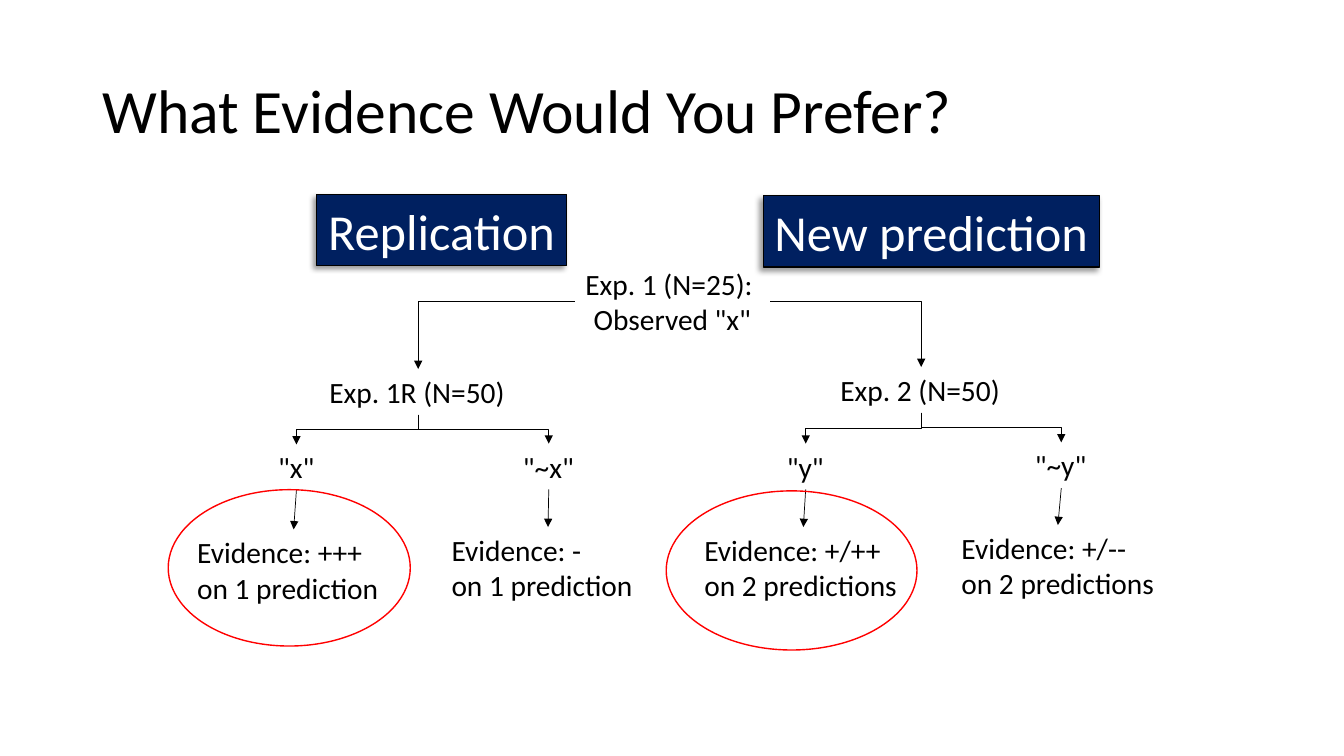
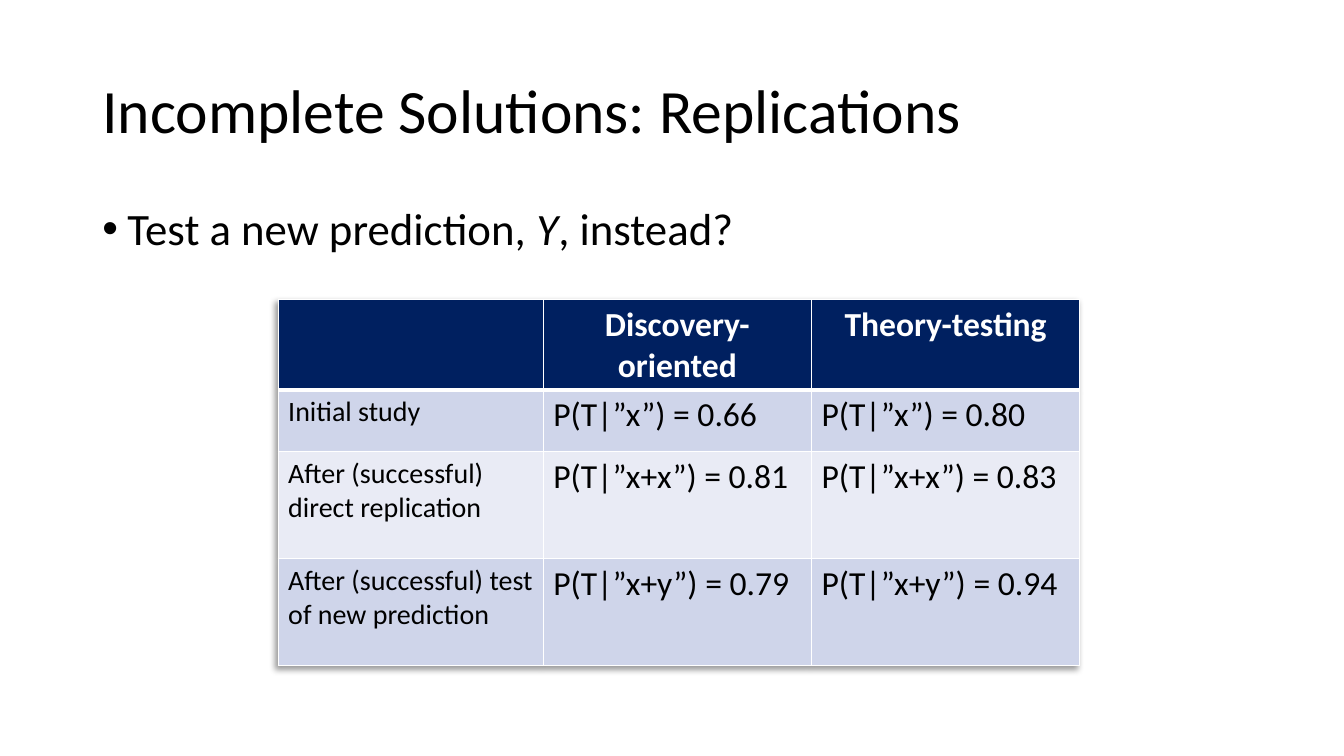
from lxml import etree
from pptx import Presentation
from pptx.dml.color import RGBColor
from pptx.enum.shapes import MSO_CONNECTOR, MSO_SHAPE
from pptx.enum.text import MSO_ANCHOR, PP_ALIGN
from pptx.oxml import parse_xml
from pptx.oxml.ns import qn
from pptx.util import Cm, Pt

RECT, OVAL = MSO_SHAPE.RECTANGLE, MSO_SHAPE.OVAL
LINE, ELBOW = MSO_CONNECTOR.STRAIGHT, MSO_CONNECTOR.ELBOW
CENTER, MIDDLE = PP_ALIGN.CENTER, MSO_ANCHOR.MIDDLE
BOTTOM, TOP = 2, 0

# Shared look
NAVY, BLACK, WHITE, RED = "002060", "000000", "FFFFFF", "FF0000"
BANDS = ("CFD5EA", "E9EBF5")
BASE = {"name": "Calibri", "bold": False, "italic": False}
TITLE = {"size": Pt(44)}
BODY = {"size": Pt(32)}
HEAD = {"size": Pt(36)}
NODE = {"size": Pt(21)}
CELL = {"size": Pt(24)}
SIDE = {"size": Pt(20)}
TIGHT = {"line_spacing": 0.9}

NS = 'xmlns:a="http://schemas.openxmlformats.org/drawingml/2006/main"'
SHADOW = (f'<a:effectLst {NS}><a:outerShdw blurRad="50800" dist="38100" '
          'dir="8100000" algn="tr" rotWithShape="0"><a:srgbClr val="000000">'
          '<a:alpha val="40000"/></a:srgbClr></a:outerShdw></a:effectLst>')

# Trees: experiment box, elbow start, and two outcomes
# An outcome is label (text, x, y, w) and evidence (lines, x, y, w)
TREES = [
    {"exp": ("Exp. 1R (N=50)", 8.05, 9.3, 4.98), "start": 14.48,
     "ends": [(('"x"', 6.76, 11.2, 1.42),
               ("Evidence: +++ on 1 prediction", 4.72, 13.34, 5.36)),
              (('"~x"', 12.93, 11.18, 1.8),
               ("Evidence: -\non 1 prediction", 11.13, 13.28, 5.36))]},
    {"exp": ("Exp. 2 (N=50)", 20.93, 9.25, 4.57), "start": 19.41,
     "ends": [(('"y"', 19.58, 11.18, 1.45),
               ("Evidence: +/++ on 2 predictions", 17.5, 13.28, 5.49)),
              (('"~y"', 25.83, 11.15, 1.83),
               ("Evidence: +/--\non 2 predictions", 23.98, 13.23, 5.36))]},
]
HEADS = [("Replication", 7.98, 4.9, 6.3, 1.8),
         ("New prediction", 19.23, 4.93, 8.48, 1.8)]
RINGS = [(4.24, 12.34, 6.1, 3.94), (16.79, 12.37, 6.32, 4.01)]

GRID = [
    ("", "Discovery-oriented", "Theory-testing"),
    ("Initial study", "P(T|”x”) = 0.66", "P(T|”x”) = 0.80"),
    ("After (successful) direct replication",
     "P(T|”x+x”) = 0.81", "P(T|”x+x”) = 0.83"),
    ("After (successful) test of new prediction",
     "P(T|”x+y”) = 0.79", "P(T|”x+y”) = 0.94"),
]
WIDTHS = (6.68, 6.76, 6.76)
HEIGHTS = (2.28, 1.55, 2.7, 2.7)


def rgb(code):
    return RGBColor.from_string(code)


def apply(target, values):
    for name, value in values.items():
        setattr(target, name, value)


def write(frame, lines, font, color=BLACK, para=None):
    """Fill a frame; each line is a list of (text, font changes)."""
    for i, runs in enumerate(lines):
        par = frame.add_paragraph() if i else frame.paragraphs[0]
        apply(par, para or {})
        for text, change in runs:
            run = par.add_run()
            run.text = text
            apply(run.font, {**BASE, **font, **change})
            run.font.color.rgb = rgb(color)


def plain(text):
    return [[(line, {})] for line in text.split("\n")]


def add_text(slide, lines, box, font, para=None, wrap=True):
    shape = slide.shapes.add_textbox(*map(Cm, box))
    shape.text_frame.word_wrap = wrap
    write(shape.text_frame, lines, font, para=para)
    return shape


def add_title(slide, text):
    box = add_text(slide, plain(text), (2.33, 1.02, 29.21, 3.68), TITLE, TIGHT)
    box.text_frame.vertical_anchor = MIDDLE


def add_form(slide, kind, box, line, width, fill=None):
    shape = slide.shapes.add_shape(kind, *map(Cm, box))
    shape.shadow.inherit = False
    if fill:
        shape.fill.solid()
        shape.fill.fore_color.rgb = rgb(fill)
    else:
        shape.fill.background()
    shape.line.color.rgb = rgb(line)
    shape.line.width = Pt(width)
    return shape


def add_head(slide, text, *box):
    shape = add_form(slide, RECT, box, BLACK, 0.75, NAVY)
    props = shape._element.spPr
    props.remove(props.find(qn("a:effectLst")))
    props.append(parse_xml(SHADOW))
    shape.text_frame.word_wrap = False
    write(shape.text_frame, plain(text), HEAD, WHITE, {"alignment": CENTER})


def add_arrow(slide, kind, start, end):
    link = slide.shapes.add_connector(kind, *start, *end)
    link.line.color.rgb = rgb(BLACK)
    link.line.width = Pt(0.5)
    etree.SubElement(link.line._get_or_add_ln(), qn("a:tailEnd"),
                     type="triangle")
    etree.SubElement(link._element.spPr, qn("a:effectLst"))
    return link


def foot(shape):
    return shape.left + shape.width // 2, shape.top + shape.height


def crown(shape):
    return shape.left + shape.width // 2, shape.top


def add_join(slide, upper, lower):
    link = add_arrow(slide, LINE, foot(upper), crown(lower))
    link.begin_connect(upper, BOTTOM)
    link.end_connect(lower, TOP)


def add_corner(slide, start, end):
    """Run sideways, then down."""
    link = add_arrow(slide, ELBOW, start, end)
    link._element.spPr.find(qn("a:prstGeom")).set("prst", "bentConnector2")


def add_fork(slide, start, end):
    """Run down, sideways, then down: an elbow on its side."""
    link = add_arrow(slide, ELBOW, start, end)
    wide, tall = link.width, link.height
    link.left += (wide - tall) // 2
    link.top += (tall - wide) // 2
    link.width, link.height = tall, wide
    frame = link._element.spPr.find(qn("a:xfrm"))
    right = end[0] > start[0]
    frame.set("rot", "16200000" if right else "5400000")
    frame.set("flipH", "1" if right else "0")


def add_node(slide, text, x, y, w):
    return add_text(slide, plain(text), (x, y, w, 1.15), NODE, wrap=False)


def add_tree(slide, tree):
    exp = add_node(slide, *tree["exp"])
    add_corner(slide, (Cm(tree["start"]), Cm(7.6)), crown(exp))
    for label, (text, x, y, w) in tree["ends"]:
        node = add_node(slide, *label)
        proof = add_text(slide, plain(text), (x, y, w, 2.06), NODE)
        add_fork(slide, foot(exp), crown(node))
        add_join(slide, node, proof)


def set_edges(cell, low):
    props = cell._tc.get_or_add_tcPr()
    widths = {"lnL": 1, "lnR": 1, "lnT": 1, "lnB": low}
    for i, (tag, width) in enumerate(widths.items()):
        props.insert(i, parse_xml(
            f'<a:{tag} {NS} w="{Pt(width)}"><a:solidFill>'
            f'<a:srgbClr val="{WHITE}"/></a:solidFill></a:{tag}>'))


def add_grid(slide):
    box = (7.01, 7.54, sum(WIDTHS), sum(HEIGHTS))
    table = slide.shapes.add_table(
        len(GRID), len(WIDTHS), *map(Cm, box)).table
    table._tbl.tblPr.insert(0, parse_xml(SHADOW))
    for col, width in zip(table.columns, WIDTHS):
        col.width = Cm(width)
    for r, (row, texts) in enumerate(zip(table.rows, GRID)):
        row.height = Cm(HEIGHTS[r])
        for c, text in enumerate(texts):
            cell = row.cells[c]
            cell.fill.solid()
            cell.fill.fore_color.rgb = rgb(BANDS[(r - 1) % 2] if r else NAVY)
            set_edges(cell, 1 if r else 3)
            if not text:
                continue
            if r:
                write(cell.text_frame, plain(text), CELL if c else SIDE)
            else:
                write(cell.text_frame, plain(text), {**CELL, "bold": True},
                      WHITE, {"alignment": CENTER})


def add_bullet(slide, runs):
    box = add_text(slide, [runs], (2.33, 5.08, 29.21, 2), BODY,
                   {**TIGHT, "space_before": Pt(10)})
    props = box.text_frame.paragraphs[0]._p.get_or_add_pPr()
    props.set("marL", str(Cm(0.63)))
    props.set("indent", str(Cm(-0.63)))
    etree.SubElement(props, qn("a:buFont"), typeface="Arial")
    etree.SubElement(props, qn("a:buChar"), char="•")


def main():
    deck = Presentation()
    deck.slide_width, deck.slide_height = Cm(33.87), Cm(19.05)
    blank = deck.slide_layouts[6]

    # Two ways to follow up the first experiment
    slide = deck.slides.add_slide(blank)
    add_title(slide, "What Evidence Would You Prefer?")
    add_text(slide, plain('Exp. 1 (N=25): \nObserved "x"'),
             (14.48, 6.58, 4.93, 2.06), NODE, {"alignment": CENTER}, False)
    for tree in TREES:
        add_tree(slide, tree)
    for ring in RINGS:
        add_form(slide, OVAL, ring, RED, 1)
    for head in HEADS:
        add_head(slide, *head)

    # Probabilities after each study
    slide = deck.slides.add_slide(blank)
    add_title(slide, "Incomplete Solutions: Replications")
    add_bullet(slide, [("Test a new prediction, ", {}),
                       ("Y", {"italic": True}), (", instead?", {})])
    add_grid(slide)
    deck.save("out.pptx")


if __name__ == "__main__":
    main()
